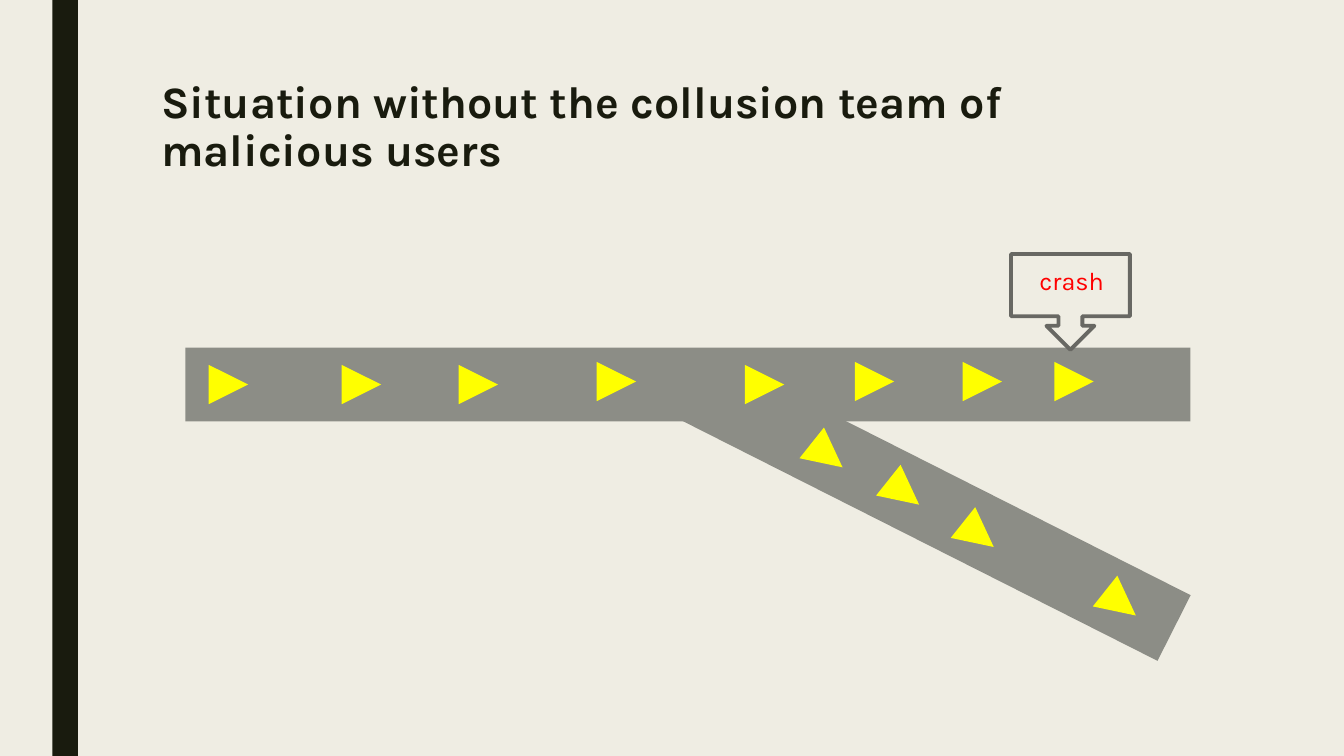
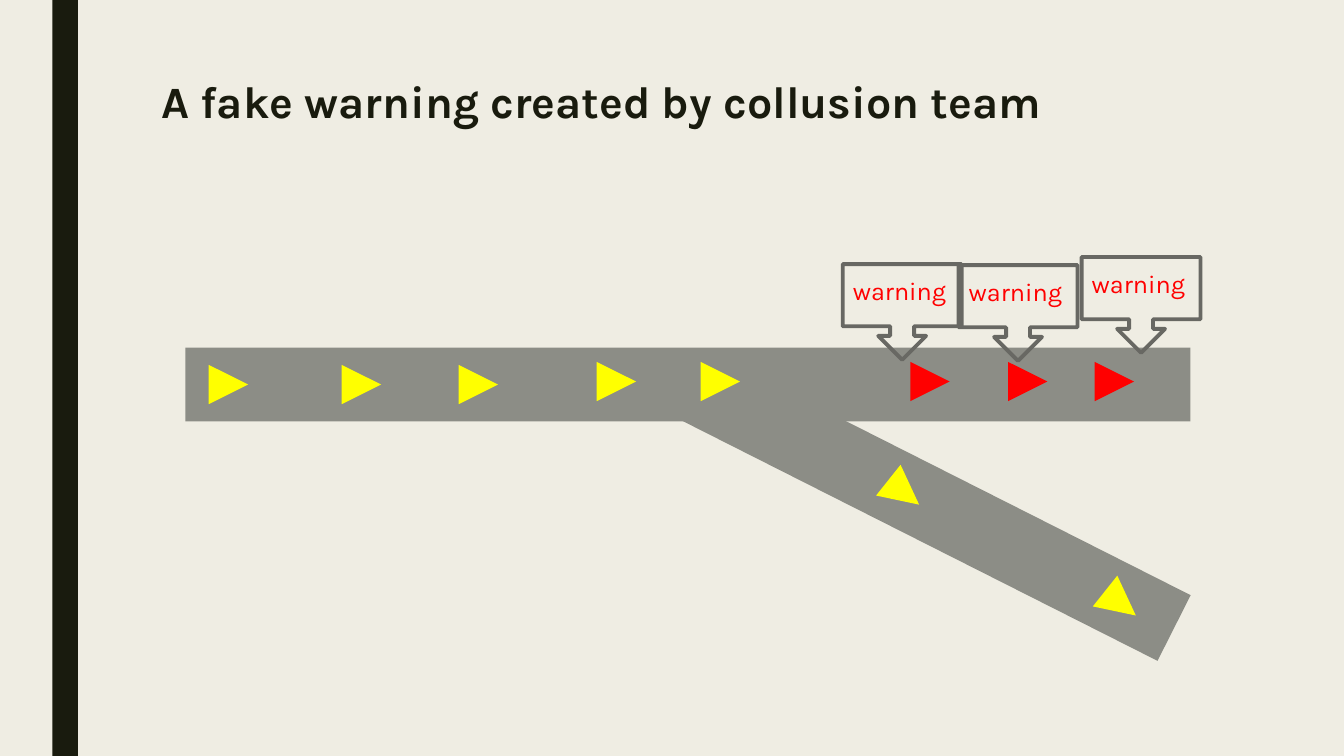
import collections

import pptx
import pptx.dml.color
import pptx.enum.shapes
import pptx.enum.text
import pptx.util

RGBColor = pptx.dml.color.RGBColor
SHAPE = pptx.enum.shapes.MSO_SHAPE
ANCHOR = pptx.enum.text.MSO_ANCHOR
ALIGN = pptx.enum.text.PP_ALIGN
Pt = pptx.util.Pt

PAPER = RGBColor(0xEF, 0xED, 0xE3)
INK = RGBColor(0x19, 0x1B, 0x0E)
ASPHALT = RGBColor(0x8C, 0x8D, 0x86)
OUTLINE = RGBColor(0x68, 0x68, 0x63)
YELLOW = RGBColor(0xFF, 0xFF, 0x00)
RED = RGBColor(0xFF, 0x00, 0x00)
FONT = "Karla"

Box = collections.namedtuple("Box", "x y w h")
SLIDE = Box(0, 0, pptx.util.Inches(13.33), pptx.util.Inches(7.5))

LANE_LOW, LANE_HIGH = 30.44, 29.78
CAR_SIZE = 3.66
BRANCH_TURN = 26.8
BRANCH_CAR_TURN = 128.5
SHARED_CARS = [(6.91, LANE_LOW), (19.28, LANE_LOW),
               (30.16, LANE_LOW), (43, LANE_HIGH)]


def share(box, x, y, w, h):
    return Box(int(box.x + box.w * x / 100), int(box.y + box.h * y / 100),
               int(box.w * w / 100), int(box.h * h / 100))


SCENE = share(SLIDE, 10, 30, 80, 60)


def add_shape(s, kind, box, fill=None, turn=0):
    sp = s.shapes.add_shape(kind, *box)
    sp.shadow.inherit = False
    sp.rotation = turn
    if fill is None:
        sp.fill.background()
    else:
        sp.fill.solid()
        sp.fill.fore_color.rgb = fill
        sp.line.fill.background()
    return sp


def add_run(p, text, size, color, bold=False):
    r = p.add_run()
    r.text = text
    r.font.name = FONT
    r.font.size = Pt(size)
    r.font.color.rgb = color
    r.font.bold = bold


def add_frame(s, box, title):
    add_shape(s, SHAPE.RECTANGLE, share(box, 3.9, 0, 1.9, 100), INK)
    tf = s.shapes.add_textbox(*share(box, 11.25, 10, 78.77, 10.4)).text_frame
    tf.word_wrap = True
    tf.vertical_anchor = ANCHOR.TOP
    p = tf.paragraphs[0]
    p.line_spacing = 0.89
    add_run(p, title, 32, INK, bold=True)


def add_roads(s, box):
    add_shape(s, SHAPE.RECTANGLE, share(box, 4.75, 26.67, 93.47, 16.22), ASPHALT)
    add_shape(s, SHAPE.RECTANGLE, share(box, 48.44, 53.11, 51, 16.22),
              ASPHALT, BRANCH_TURN)


def add_cars(s, box, places, color=YELLOW, turn=90):
    for x, y in places:
        car = share(box, x, y, CAR_SIZE, 0)
        add_shape(s, SHAPE.ISOSCELES_TRIANGLE, car._replace(h=car.w), color, turn)


def add_callouts(s, box, text, indent, places):
    for x, y in places:
        callout = share(box, x, y, 11.06, 21.11)
        sp = add_shape(s, SHAPE.DOWN_ARROW_CALLOUT, callout)
        sp.line.color.rgb = OUTLINE
        sp.line.width = Pt(2.75)
        tf = sp.text_frame
        tf.word_wrap = True
        tf.vertical_anchor = ANCHOR.TOP
        tf.margin_left = int(callout.w * indent / 100)
        tf.margin_top = int(callout.h * 0.12)
        tf.margin_right = tf.margin_bottom = 0
        p = tf.paragraphs[0]
        p.alignment = ALIGN.LEFT
        add_run(p, text, 18, RED)


def add_scene(prs, title, cars, red_cars, branch_cars, text, indent, callouts):
    s = prs.slides.add_slide(prs.slide_layouts[6])
    add_frame(s, SLIDE, title)
    add_roads(s, SCENE)
    add_cars(s, SCENE, SHARED_CARS + cars)
    add_cars(s, SCENE, red_cars, RED)
    add_cars(s, SCENE, branch_cars, turn=BRANCH_CAR_TURN)
    add_callouts(s, SCENE, text, indent, callouts)


def main():
    prs = pptx.Presentation()
    prs.slide_width, prs.slide_height = SLIDE.w, SLIDE.h
    fill = prs.slide_master.background.fill
    fill.solid()
    fill.fore_color.rgb = PAPER

    add_scene(
        prs, "Situation without the collusion team of malicious users",
        cars=[(56.78, LANE_LOW), (67, LANE_HIGH),
              (77.03, LANE_HIGH), (85.56, LANE_HIGH)],
        red_cars=[],
        branch_cars=[(62.6, 46), (69.72, 54.22), (76.66, 63.56), (89.88, 78.67)],
        text="crash", indent=24, callouts=[(81.53, 6)])
    add_scene(
        prs, "A fake warning created by collusion team",
        cars=[(52.66, LANE_HIGH)],
        red_cars=[(72.16, LANE_HIGH), (81.25, LANE_HIGH), (89.31, LANE_HIGH)],
        branch_cars=[(69.72, 54.22), (89.88, 78.67)],
        text="warning", indent=8.5,
        callouts=[(65.88, 8.22), (76.66, 8.44), (88.1, 6.67)])
    prs.save("out.pptx")


if __name__ == "__main__":
    main()
